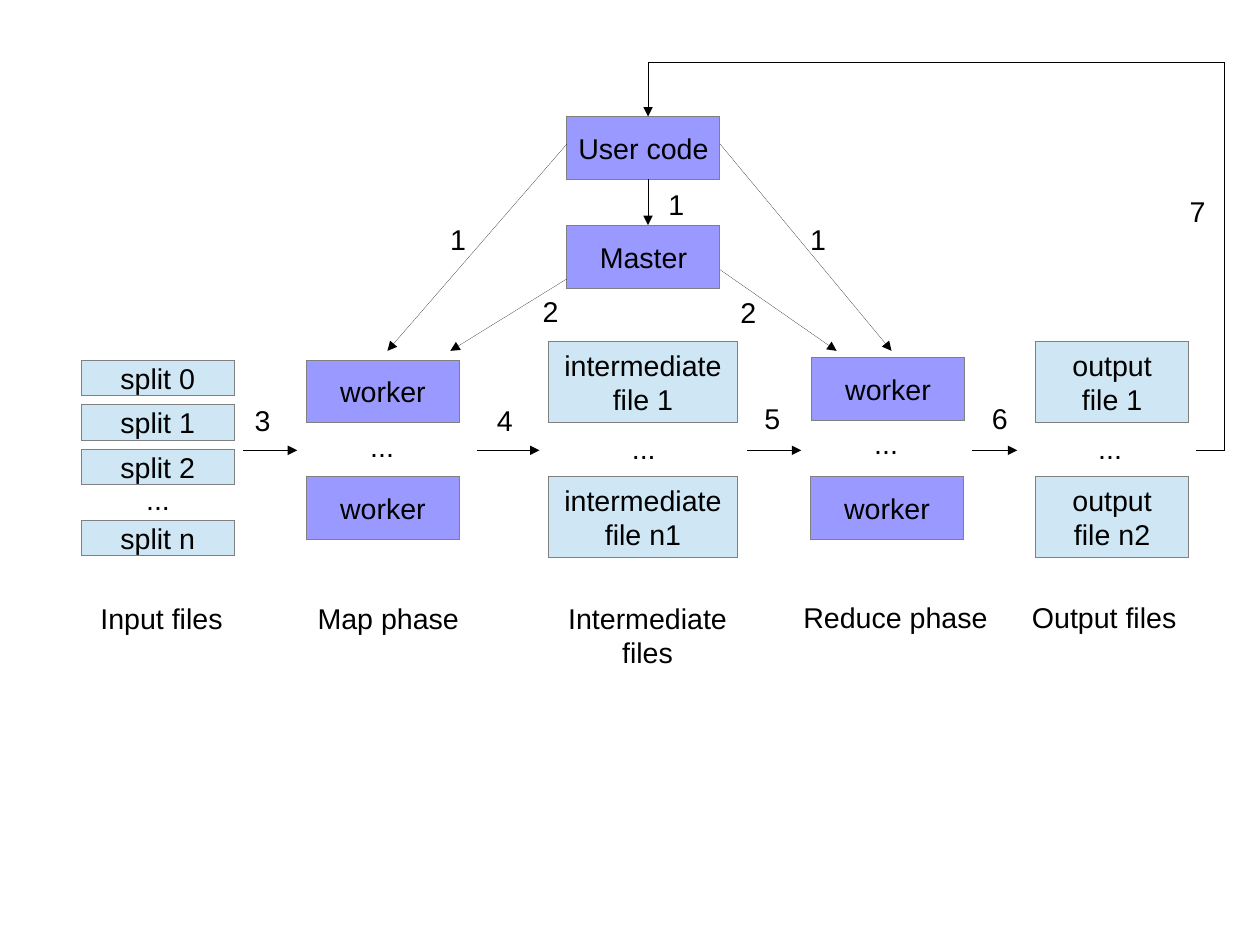
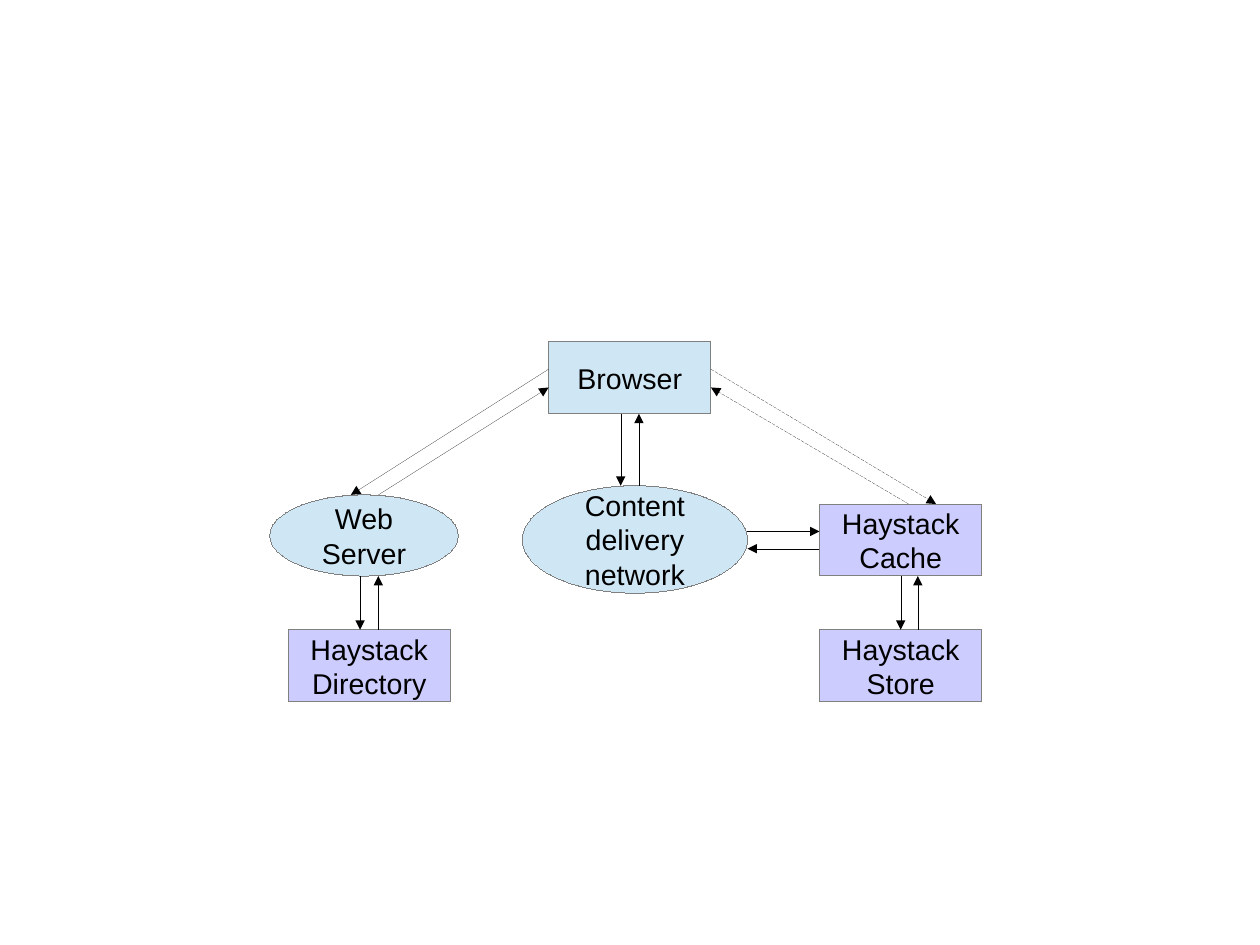
from itertools import pairwise

from lxml import etree
from pptx import Presentation
from pptx.dml.color import RGBColor
from pptx.enum.dml import MSO_LINE
from pptx.enum.shapes import MSO_CONNECTOR, MSO_SHAPE
from pptx.enum.text import MSO_ANCHOR, MSO_AUTO_SIZE, PP_ALIGN
from pptx.oxml.ns import qn
from pptx.util import Inches, Pt

RECT, OVAL = MSO_SHAPE.RECTANGLE, MSO_SHAPE.OVAL
STRAIGHT, DASH = MSO_CONNECTOR.STRAIGHT, MSO_LINE.SQUARE_DOT
TOP, MIDDLE = MSO_ANCHOR.TOP, MSO_ANCHOR.MIDDLE
LEFT, CENTER = PP_ALIGN.LEFT, PP_ALIGN.CENTER
FIT = MSO_AUTO_SIZE.SHAPE_TO_FIT_TEXT

WIDE, HIGH = 28 / 2.54, 21 / 2.54
FONT, SIZE = "Arial", 18
COLORS = {"work": "9999FF", "file": "CFE7F5", "store": "CCCCFF",
          "edge": "808080", "ink": "000000"}

NODE = (1.34, 0.55)
SPLIT = (1.34, 0.31)
SPLIT_LEFT, SPLIT_TOP, SPLIT_STEP = 0.71, 3.15, 0.39
SPLITS = [("split 0", 0), ("split 1", 1), ("split 2", 2), ("split n", 3.6)]
TASKS = [
    ("User code", 4.96, 1.02), ("Master", 4.96, 1.97),
    ("worker", 2.68, 3.15), ("worker", 2.68, 4.17),
    ("worker", 7.1, 3.13), ("worker", 7.09, 4.17),
]
FILE_TOPS, FILE_HIGH = (2.99, 4.17), 0.71
FILES = [
    (4.8, 1.65, ("intermediate\nfile 1", "intermediate\nfile n1")),
    (9.06, 1.34, ("output\nfile 1", "output\nfile n2")),
]
PHASES = [
    ("Input files", 0.78, 5.21, 1.27, 0.38),
    ("Map phase", 2.68, 5.21, 1.45, 0.38),
    ("Intermediate\nfiles", 4.87, 5.21, 1.59, 0.66),
    ("Reduce phase", 6.93, 5.2, 1.82, 0.38),
    ("Output files", 8.93, 5.2, 1.48, 0.38),
]
DOTS = [(1.18, 4.17), (5.43, 3.72), (9.51, 3.72), (3.14, 3.7), (7.55, 3.68)]
STEPS = [
    ("1", 3.84, 1.89), ("1", 6.99, 1.89), ("1", 5.75, 1.59),
    ("2", 4.65, 2.52), ("2", 6.38, 2.53), ("3", 2.13, 3.48),
    ("4", 4.25, 3.48), ("5", 6.59, 3.46), ("6", 8.58, 3.46),
    ("7", 10.31, 1.65),
]
FLOW_TOP = 3.94
FLOWS = [(2.13, 2.6), (4.17, 4.72), (6.54, 7.01), (8.5, 8.9)]
CALLS = [
    ((5.67, 1.57), (5.67, 1.97)),
    ((4.96, 1.26), (3.39, 3.07)), ((6.3, 1.26), (7.8, 3.07)),
    ((4.96, 2.44), (3.94, 3.07)), ((6.3, 2.36), (7.32, 3.07)),
]
RETURN = [(10.47, 3.94), (10.71, 3.94), (10.71, 0.55), (5.67, 0.55),
          (5.67, 1.02)]

PARTS = [
    ("Browser", RECT, "file", (4.8, 2.99, 1.42, 0.63)),
    ("Haystack\nDirectory", RECT, "store", (2.52, 5.51, 1.42, 0.63)),
    ("Haystack\nStore", RECT, "store", (7.17, 5.51, 1.42, 0.63)),
    ("Haystack\nCache", RECT, "store", (7.17, 4.41, 1.42, 0.63)),
    ("Web Server", OVAL, "file", (2.36, 4.33, 1.65, 0.71)),
    ("Content\ndelivery\nnetwork", OVAL, "file", (4.57, 4.25, 1.97, 0.94)),
]
LINKS = [
    ((4.8, 3.23), (3.07, 4.33)), ((3.31, 4.33), (4.8, 3.39)),
    ((3.15, 5.04), (3.15, 5.51)), ((3.31, 5.51), (3.31, 5.04)),
    ((5.43, 3.62), (5.43, 4.25)), ((5.59, 4.25), (5.59, 3.62)),
    ((6.54, 4.65), (7.17, 4.65)), ((7.17, 4.8), (6.54, 4.8)),
    ((8.03, 5.51), (8.03, 5.04)),
]
DASHED = [((6.22, 3.23), (8.19, 4.41)), ((7.95, 4.41), (6.22, 3.39))]


def color(name):
    return RGBColor.from_string(COLORS[name])


def write(shape, text, align=LEFT, anchor=TOP, wrap=False):
    frame = shape.text_frame
    frame.word_wrap = wrap
    frame.vertical_anchor = anchor
    frame.text = text
    for para in frame.paragraphs:
        para.alignment = align
        para.font.name = FONT
        para.font.size = Pt(SIZE)
        para.font.color.rgb = color("ink")


def set_line(shape, name):
    shape.line.color.rgb = color(name)
    stroke = shape._element.spPr.find(qn("a:ln"))
    stroke.set("w", "0")
    return stroke


def add_box(slide, text, at, fill, kind=RECT, wrap=False):
    shape = slide.shapes.add_shape(kind, *map(Inches, at))
    shape.shadow.inherit = False
    shape.fill.solid()
    shape.fill.fore_color.rgb = color(fill)
    set_line(shape, "edge")
    write(shape, text, align=CENTER, anchor=MIDDLE, wrap=wrap)
    return shape


def add_label(slide, text, at, **style):
    shape = slide.shapes.add_textbox(*map(Inches, at))
    write(shape, text, **style)
    shape.text_frame.auto_size = FIT


def add_line(slide, start, end, arrow=True, dash=None):
    line = slide.shapes.add_connector(STRAIGHT, *map(Inches, start + end))
    stroke = set_line(line, "ink")
    if dash:
        line.line.dash_style = dash
    if arrow:
        etree.SubElement(stroke, qn("a:tailEnd"), type="triangle")
    etree.SubElement(line._element.spPr, qn("a:effectLst"))
    return line


def build_flow(slide):
    for text, left, top in TASKS:
        add_box(slide, text, (left, top, *NODE), "work")
    for left, wide, names in FILES:
        for text, top in zip(names, FILE_TOPS):
            add_box(slide, text, (left, top, wide, FILE_HIGH), "file")
    for text, row in SPLITS:
        top = SPLIT_TOP + row * SPLIT_STEP
        add_box(slide, text, (SPLIT_LEFT, top, *SPLIT), "file")
    for text, *at in PHASES:
        add_label(slide, text, at, align=CENTER if "\n" in text else LEFT)
    for left, top in DOTS:
        add_label(slide, "...", (left, top, 0.41, 0.38), wrap=True)
    for text, left, top in STEPS:
        add_label(slide, text, (left, top, 0.34, 0.38))
    for left, right in FLOWS:
        add_line(slide, (left, FLOW_TOP), (right, FLOW_TOP))
    for start, end in CALLS:
        add_line(slide, start, end)
    for start, end in pairwise(RETURN):
        add_line(slide, start, end, arrow=end == RETURN[-1])


def build_stack(slide):
    nodes = {text: add_box(slide, text, at, fill, kind=kind, wrap=True)
             for text, kind, fill, at in PARTS}
    for start, end in LINKS:
        add_line(slide, start, end)
    for start, end in DASHED:
        add_line(slide, start, end, dash=DASH)
    line = add_line(slide, (7.88, 5.04), (7.88, 5.51))
    line.begin_connect(nodes["Haystack\nCache"], 2)
    line.end_connect(nodes["Haystack\nStore"], 0)


def main():
    deck = Presentation()
    deck.slide_width, deck.slide_height = Inches(WIDE), Inches(HIGH)
    for build in (build_flow, build_stack):
        build(deck.slides.add_slide(deck.slide_layouts[6]))
    deck.save("out.pptx")


if __name__ == "__main__":
    main()
